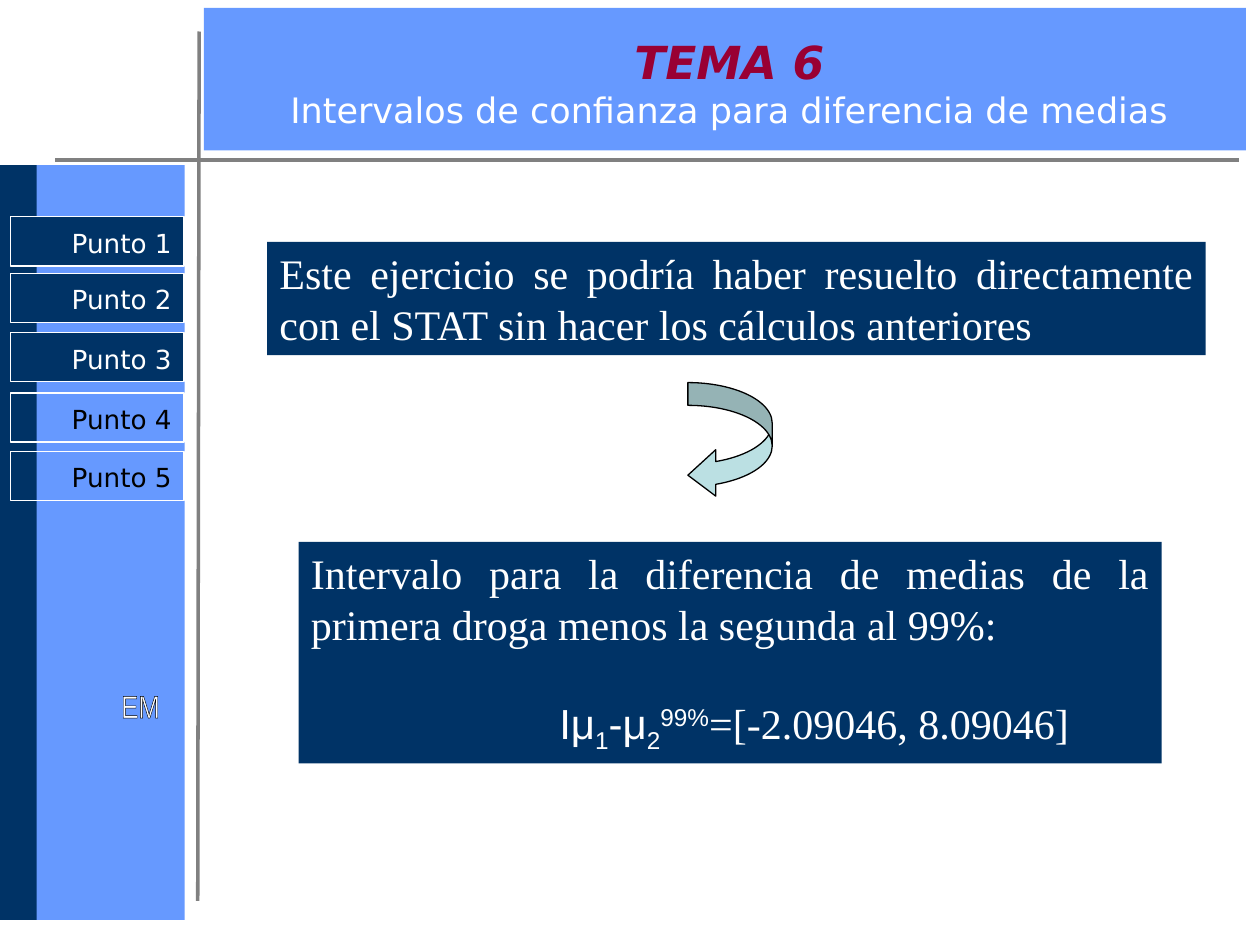
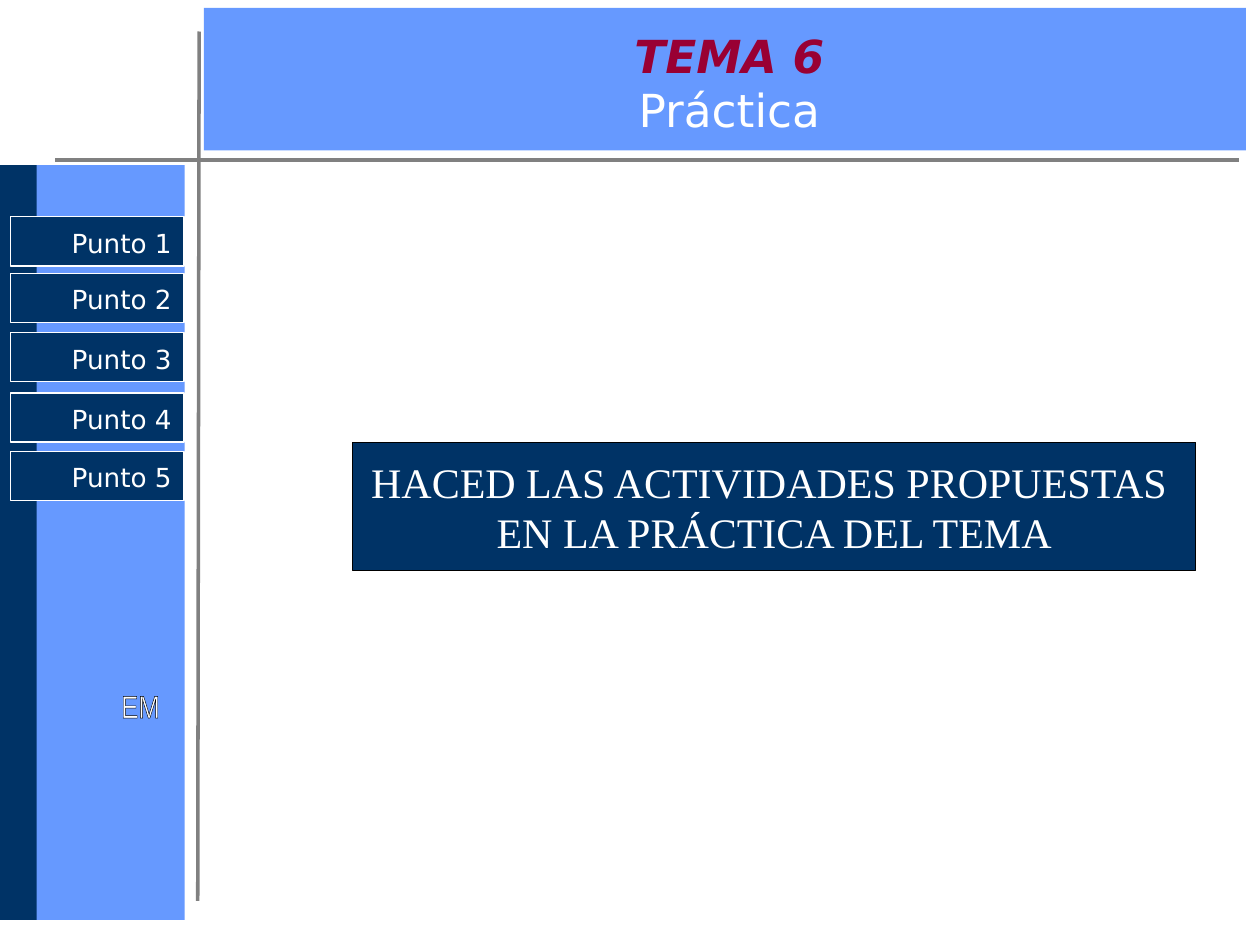
from lxml import etree
from pptx import Presentation
from pptx import util as u
from pptx.dml import color
from pptx.enum import shapes, text
from pptx.oxml import ns

NAVY, BLUE, GREY, RED = "003366", "6699FF", "808080", "990033"
WHITE, BLACK, TEAL = "FFFFFF", "000000", "BBE0E3"
SANS, SERIF, ARIAL, THIN = "DejaVu Sans", "Times New Roman", "Arial", "Arial Narrow"
LEFT, MID, RIGHT, JUST = (text.PP_ALIGN.LEFT, text.PP_ALIGN.CENTER,
                          text.PP_ALIGN.RIGHT, text.PP_ALIGN.JUSTIFY)
TOPS = (123.9, 156.2, 190.1, 224.6, 257.9)


def pts(*vals):
    """Turn numbers into point lengths."""
    return [u.Pt(val) for val in vals]


def rgb(code):
    """Turn a hex string into a colour."""
    return color.RGBColor.from_string(code)


def shape(slide, place, fill=None, line=None, kind=shapes.MSO_SHAPE.RECTANGLE):
    """Draw a flat preset shape."""
    item = slide.shapes.add_shape(kind, *pts(*place))
    item.shadow.inherit = False
    if fill:
        item.fill.solid()
        item.fill.fore_color.rgb = rgb(fill)
    else:
        item.fill.background()
    if line:
        item.line.color.rgb = rgb(line)
        item.line.width = u.Pt(0.75)
    else:
        item.line.fill.background()
    return item


def rule(slide, *ends):
    """Draw a grey rule between two points."""
    line = slide.shapes.add_connector(shapes.MSO_CONNECTOR.STRAIGHT, *pts(*ends))
    line.line.color.rgb = rgb(GREY)
    line.line.width = u.Pt(2)
    etree.SubElement(line._element.spPr, ns.qn("a:effectLst"))


def frame(item, top=3.6, wrap=True, anchor=text.MSO_ANCHOR.TOP):
    """Set up the text frame of a shape."""
    body = item.text_frame
    body.word_wrap = wrap
    body.vertical_anchor = anchor
    body.margin_left, body.margin_top, body.margin_right, body.margin_bottom = pts(
        7.2, top, 7.2, 3.6)
    return body


def run(para, words, size=24, face=SERIF, ink=WHITE, bold=False, base=0):
    """Add one run, in bold italics or on a shifted baseline if asked."""
    part = para.add_run()
    part.text = words
    font = part.font
    font.size, font.name = u.Pt(size), face
    font.bold = font.italic = bold
    font.color.rgb = rgb(ink)
    if base:
        font._element.set("baseline", str(base * 1000))
    return part


def title(slide, name, size):
    """Write the theme number above the slide name."""
    box = slide.shapes.add_textbox(*pts(123.1, 19.4, 587.5, 55.4))
    para = frame(box, anchor=text.MSO_ANCHOR.MIDDLE).paragraphs[0]
    para.alignment = MID
    run(para, "TEMA 6", 26, SANS, RED, True)
    para.add_line_break()
    run(para, name, size, SANS)


def menu(slide, done):
    """Stack the point buttons, filling those already done."""
    for num, top in enumerate(TOPS, 1):
        past = num <= done
        item = shape(slide, (5.8, top, 99.4, 28.1), NAVY if past else None, WHITE)
        para = frame(item, 5.8).paragraphs[0]
        para.alignment = RIGHT
        run(para, f"Punto {num}", 15, SANS, WHITE if past else BLACK)


def mark(slide):
    """Write the outlined initials in the side band."""
    box = slide.shapes.add_textbox(*pts(14.4, 388.8, 131.8, 131))
    para = frame(box).paragraphs[0]
    para.alignment = MID
    part = run(para, "EM", 18, THIN)
    line = etree.Element(ns.qn("a:ln"), w=str(u.Pt(0.75)))
    fill = etree.SubElement(line, ns.qn("a:solidFill"))
    etree.SubElement(fill, ns.qn("a:srgbClr"), val=BLACK)
    part.font._element.insert(0, line)


def page(deck, name, size, done):
    """Add a slide with bands, rules, menu and title."""
    slide = deck.slides.add_slide(deck.slide_layouts[6])
    shape(slide, (19.4, 94.3, 86.2, 431.3), BLUE)
    shape(slide, (0, 94.3, 20.9, 431.3), NAVY)
    shape(slide, (116.6, 4.6, 595.4, 81.4), BLUE)
    rule(slide, 31.7, 91.4, 707.8, 91.4)
    rule(slide, 113, 514.8, 113.8, 18)
    mark(slide)
    menu(slide, done)
    title(slide, name, size)
    return slide


def panel(slide, place, lines, align, line=None, **setup):
    """Draw a navy panel holding lines of text."""
    body = frame(shape(slide, place, NAVY, line), **setup)
    for pos, words in enumerate(lines):
        para = body.add_paragraph() if pos else body.paragraphs[0]
        para.alignment = align
        run(para, words)
    return body


def result(body):
    """Add the interval formula under the panel text."""
    para = body.add_paragraph()
    para.alignment = MID
    para.space_before = u.Pt(27.6)
    para._p.get_or_add_pPr().set("marL", str(u.Pt(96)))
    for words, base in (("Iμ", 0), ("1", -25), ("-μ", 0), ("2", -25), ("99%", 30)):
        run(para, words, face=ARIAL, base=base)
    run(para, "=[-2.09046, 8.09046]")


def arrow(slide, place):
    """Draw the curved arrow between the panels."""
    item = shape(slide, place, TEAL, BLACK, shapes.MSO_SHAPE.CURVED_LEFT_ARROW)
    for pos, val in enumerate((0.27, 0.55, 0.33)):
        item.adjustments[pos] = val


def main():
    """Build both slides and save the deck."""
    deck = Presentation()
    deck.slide_width, deck.slide_height = pts(720, 540)

    slide = page(deck, "Intervalos de confianza para diferencia de medias", 20, 3)
    panel(slide, (152.6, 138.2, 536.4, 64.8),
          ["Este ejercicio se podría haber resuelto directamente "
           "con el STAT sin hacer los cálculos anteriores"], JUST)
    arrow(slide, (393.1, 218.6, 48.2, 66.2))
    body = panel(slide, (170.6, 309.6, 493.2, 126.7),
                 ["Intervalo para la diferencia de medias de la "
                  "primera droga menos la segunda al 99%:"], JUST)
    result(body)

    slide = page(deck, "Práctica", 26, 5)
    panel(slide, (201.6, 252.7, 481.7, 73.4),
          ["HACED LAS ACTIVIDADES PROPUESTAS ", "EN LA PRÁCTICA DEL TEMA"],
          MID, BLACK, wrap=False, anchor=text.MSO_ANCHOR.MIDDLE)
    deck.save("out.pptx")


if __name__ == "__main__":
    main()
